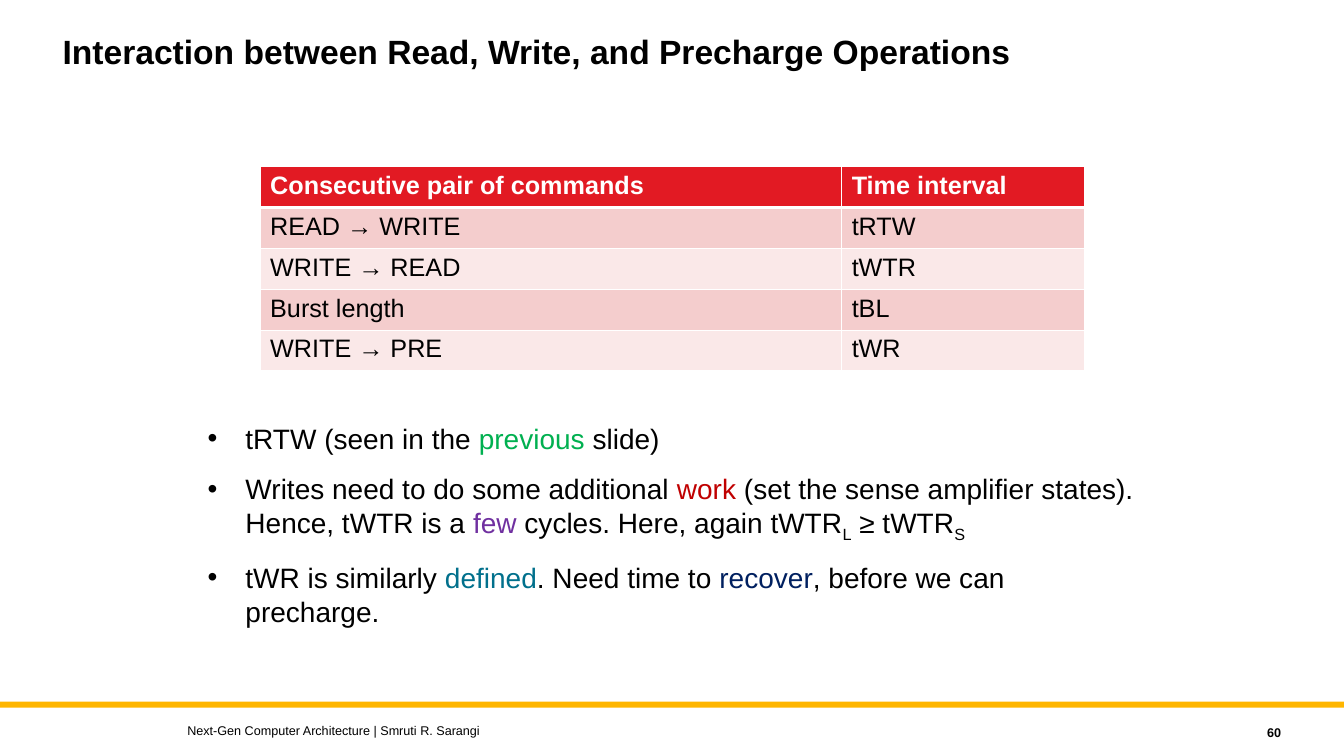
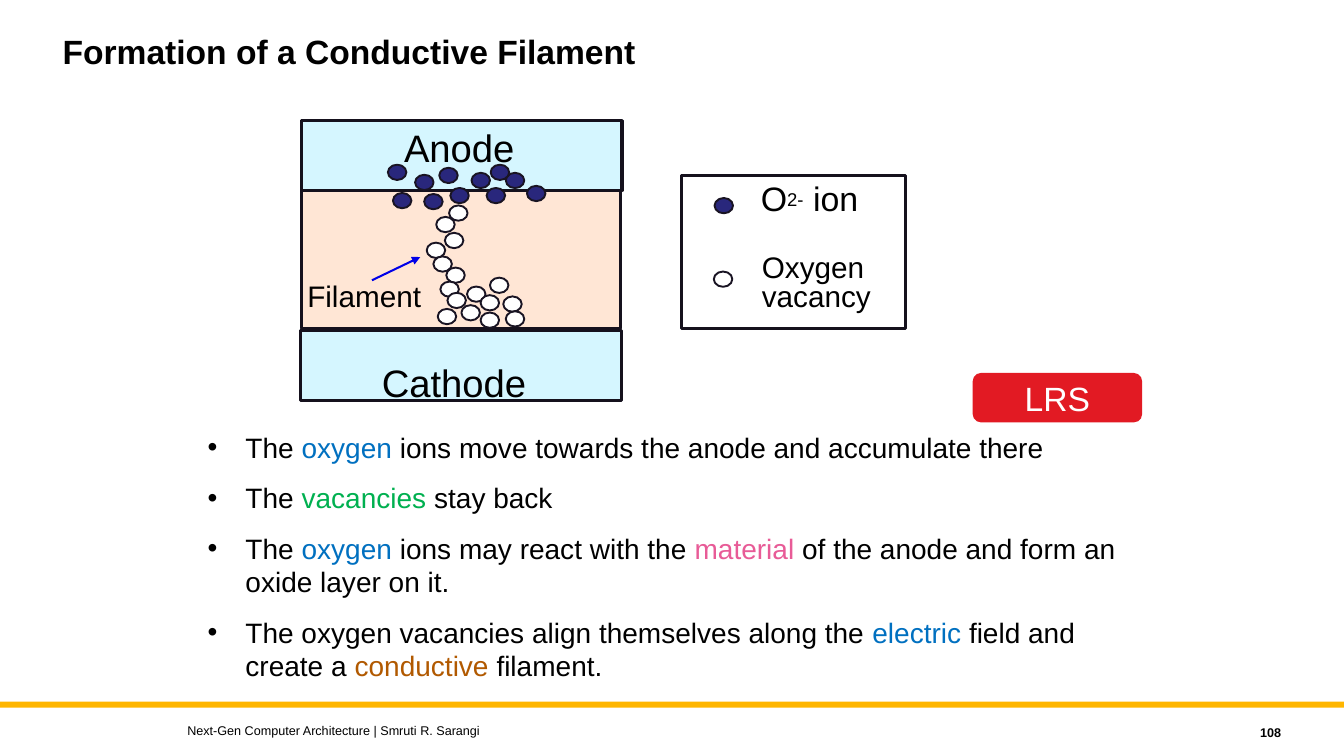
from dataclasses import dataclass

from lxml import etree
from pptx import Presentation
from pptx.dml.color import RGBColor
from pptx.enum.shapes import MSO_CONNECTOR, MSO_SHAPE
from pptx.enum.text import MSO_ANCHOR, MSO_AUTO_SIZE, PP_ALIGN
from pptx.oxml.ns import qn
from pptx.util import Pt

RECT, ROUNDED, OVAL = MSO_SHAPE.RECTANGLE, MSO_SHAPE.ROUNDED_RECTANGLE, MSO_SHAPE.OVAL
LEFT, CENTER, RIGHT = PP_ALIGN.LEFT, PP_ALIGN.CENTER, PP_ALIGN.RIGHT
TOP, MIDDLE, BOTTOM = MSO_ANCHOR.TOP, MSO_ANCHOR.MIDDLE, MSO_ANCHOR.BOTTOM
NO_FIT, GROW = MSO_AUTO_SIZE.NONE, MSO_AUTO_SIZE.SHAPE_TO_FIT_TEXT


@dataclass(frozen=True)
class Theme:
    font: str = "Arial"
    # Type sizes
    title: float = 24
    body: float = 20
    table: float = 18
    footer: float = 9
    electrode: float = 27.3
    label: float = 21.2
    ion_label: float = 24.2
    ion_charge: float = 22.7
    badge: float = 24
    # Colours
    black: str = "000000"
    white: str = "FFFFFF"
    red: str = "E21A23"
    gold: str = "FFB600"
    row_dark: str = "F4CDCD"
    row_light: str = "FAE8E8"
    green: str = "00B050"
    crimson: str = "C00000"
    purple: str = "7030A0"
    teal: str = "01708C"
    navy: str = "002060"
    blue: str = "0070C0"
    pink: str = "E85B97"
    brown: str = "B15900"
    electrode_fill: str = "D5F6FF"
    oxide_fill: str = "FFE6D5"
    ion_fill: str = "29277C"
    outline: str = "15111D"
    dot_outline: str = "191423"
    arrow: str = "0000E8"


T = Theme()

# Shared content and frame: boxes are left, top, width, height in points
FOOTER = "Next-Gen Computer Architecture | Smruti R. Sarangi"
SLIDE_W, SLIDE_H = 960, 540
TITLE_BOX = (37.5, 21.6, 720, 64.8)
BAND_BOX = (0, 501.1, SLIDE_W, 4.3)
FOOTER_BOX = (126.7, 512.6, 576, 18)
NUMBER_BOX = (821.5, 514, 100.8, 18)

# A run is (text, formatting)
SUB = {"baseline": -25}

# Timing slide content
TIMING_TITLE = "Interaction between Read, Write, and Precharge Operations"
TIMING_ROWS = [
    ("Consecutive pair of commands", "Time interval"),
    ("READ → WRITE", "tRTW"),
    ("WRITE → READ", "tWTR"),
    ("Burst length", "tBL"),
    ("WRITE → PRE", "tWR"),
]
TABLE_AT, COLUMN_WIDTHS, ROW_HEIGHT = (185.8, 119), (415.4, 173.5), 29.2
TIMING_BODY_BOX = (141.1, 297.4, 678.2, 169.2)
TIMING_BULLETS = [
    [("tRTW (seen in the ", {}), ("previous", {"color": T.green}), (" slide)", {})],
    [("Writes need to do some additional ", {}), ("work", {"color": T.crimson}),
     (" (set the sense amplifier states). Hence, tWTR is a ", {}),
     ("few", {"color": T.purple}), (" cycles. Here, again tWTR", {}), ("L", SUB),
     (" ≥ tWTR", {}), ("S", SUB)],
    [("tWR is similarly ", {}), ("defined", {"color": T.teal}), (". Need time to ", {}),
     ("recover", {"color": T.navy}), (", before we can precharge.", {})],
]

# Filament slide content
FILAMENT_TITLE = "Formation of a Conductive Filament"
FILAMENT_BODY_BOX = (141.1, 303.8, 677.5, 193.7)
FILAMENT_BULLETS = [
    [("The ", {}), ("oxygen", {"color": T.blue}),
     (" ions move towards the anode and accumulate there", {})],
    [("The ", {}), ("vacancies", {"color": T.green}), (" stay back", {})],
    [("The ", {}), ("oxygen", {"color": T.blue}), (" ions may react with the ", {}),
     ("material", {"color": T.pink}),
     (" of the anode and form an oxide layer on it.", {})],
    [("The oxygen vacancies align themselves along the ", {}),
     ("electric", {"color": T.blue}), (" field and create a ", {}),
     ("conductive", {"color": T.brown}), (" filament.", {})],
]
PANELS = [  # box, fill
    ((215.3, 86.2, 229, 49.9), T.electrode_fill),
    ((214.7, 236.3, 229, 49.6), T.electrode_fill),
    ((215.3, 136.1, 228.2, 98.8), T.oxide_fill),
    ((486.5, 125.5, 160.3, 109.4), None),
]
LABELS = [  # box, size, anchor, runs
    ((281.5, 85, 94.3, 40.3), T.electrode, TOP, [("Anode", {})]),
    ((265.7, 253.4, 118.8, 40.3), T.electrode, TOP, [("Cathode", {})]),
    ((536.4, 123.1, 86.4, 36.7), T.ion_label, BOTTOM,
     [("O", {}), ("2-", {"size": T.ion_charge, "baseline": 18}), (" ion", {})]),
    ((537.1, 174.2, 94.3, 33.1), T.label, TOP, [("Oxygen", {})]),
    ((537.1, 195.1, 92.9, 33.1), T.label, TOP, [("vacancy", {})]),
    ((212.4, 195.1, 97.2, 33.1), T.label, TOP, [("Filament", {})]),
]
DOT_W, DOT_H = 13.2, 10.9
ION_CENTRES = [
    (303.1, 130.3), (320.4, 125.3), (343.4, 128.9), (354.2, 139.7), (328.3, 139.7),
    (367.9, 128.9), (287.3, 143.3), (309.6, 144), (357.1, 123.1), (383, 138.2),
    (283.7, 123.1), (517, 146.9),
]
VACANCY_CENTRES = [
    (318.2, 160.4), (327.4, 152.2), (324.4, 171.8), (311.4, 178.8), (316.2, 188.6),
    (325.4, 196.6), (321.2, 206.6), (326.2, 214.6), (336.2, 223.4), (349.9, 228.7),
    (319.3, 226.1), (340.2, 210.1), (366.1, 217.2), (356.6, 203.8), (349.9, 216.3),
    (367.9, 227.8), (516.5, 199.4),
]
ARROW_ENDS = (265.7, 200.2, 300.2, 183.6)
BADGE_BOX = (694.8, 266.4, 121, 35.3)


def pts(values):
    return [Pt(v) for v in values]


def rgb(value):
    return RGBColor.from_string(value)


def add_runs(p, runs, size, color=T.black, bold=False):
    for text, fmt in runs:
        r = p.add_run()
        r.text = text
        r.font.name = T.font
        r.font.size = Pt(fmt.get("size", size))
        r.font.bold = bold
        r.font.color.rgb = rgb(fmt.get("color", color))
        if "baseline" in fmt:
            r._r.get_or_add_rPr().set("baseline", str(fmt["baseline"] * 1000))


def add_text(s, box, runs, size, anchor=MIDDLE, align=LEFT, bold=False, wrap=True):
    tf = s.shapes.add_textbox(*pts(box)).text_frame
    tf.word_wrap = wrap
    tf.auto_size = NO_FIT if wrap else GROW
    tf.vertical_anchor = anchor
    p = tf.paragraphs[0]
    p.alignment = align
    add_runs(p, runs, size, bold=bold)


def add_shape(s, kind, box, fill=None, line=None, width=0):
    sp = s.shapes.add_shape(kind, *pts(box))
    sp.shadow.inherit = False
    if fill:
        sp.fill.solid()
        sp.fill.fore_color.rgb = rgb(fill)
    else:
        sp.fill.background()
    if line:
        sp.line.color.rgb = rgb(line)
        sp.line.width = Pt(width)
    else:
        sp.line.fill.background()
    return sp


def fit_placeholder(sp, box):
    sp.left, sp.top, sp.width, sp.height = pts(box)
    tf = sp.text_frame
    tf.word_wrap = True
    tf.auto_size = NO_FIT
    tf.vertical_anchor = TOP
    return tf


def add_slide(prs, title, number, body_box, bullets):
    s = prs.slides.add_slide(prs.slide_layouts[1])
    add_shape(s, RECT, BAND_BOX, T.gold)
    p = fit_placeholder(s.shapes.title, TITLE_BOX).paragraphs[0]
    p.alignment = LEFT
    p.line_spacing = 0.9
    add_runs(p, [(title, {})], T.title, bold=True)
    # Bullet and hanging indent come from the body placeholder
    tf = fit_placeholder(s.placeholders[1], body_box)
    for i, runs in enumerate(bullets):
        p = tf.add_paragraph() if i else tf.paragraphs[0]
        p.space_before = Pt(12 if i else 0)
        add_runs(p, runs, T.body)
    add_text(s, FOOTER_BOX, [(FOOTER, {})], T.footer)
    add_text(s, NUMBER_BOX, [(number, {})], T.footer, align=RIGHT, bold=True)
    return s


def set_borders(cell, bottom):
    tc_pr = cell._tc.get_or_add_tcPr()
    for side, width in (("L", 1), ("R", 1), ("T", 1), ("B", bottom)):
        ln = etree.SubElement(tc_pr, qn("a:ln" + side), w=str(Pt(width)))
        fill = etree.SubElement(ln, qn("a:solidFill"))
        etree.SubElement(fill, qn("a:srgbClr"), val=T.white)


def add_timing_table(s):
    size = (sum(COLUMN_WIDTHS), ROW_HEIGHT * len(TIMING_ROWS))
    frame = s.shapes.add_table(len(TIMING_ROWS), len(COLUMN_WIDTHS), *pts(TABLE_AT + size))
    table = frame.table
    for column, width in zip(table.columns, COLUMN_WIDTHS):
        column.width = Pt(width)
    for i, values in enumerate(TIMING_ROWS):
        header = i == 0
        fill = T.red if header else (T.row_light, T.row_dark)[i % 2]
        table.rows[i].height = Pt(ROW_HEIGHT)
        for j, value in enumerate(values):
            cell = table.cell(i, j)
            set_borders(cell, 3 if header else 1)
            cell.fill.solid()
            cell.fill.fore_color.rgb = rgb(fill)
            add_runs(cell.text_frame.paragraphs[0], [(value, {})], T.table,
                     T.white if header else T.black, header)


def add_filament_diagram(s):
    # Electrodes, oxide and legend frame
    for box, fill in PANELS:
        add_shape(s, RECT, box, fill, T.outline, 2.27)
    for box, size, anchor, runs in LABELS:
        add_text(s, box, runs, size, anchor, wrap=False)
    # Ions and vacancies
    for centres, fill in ((ION_CENTRES, T.ion_fill), (VACANCY_CENTRES, T.white)):
        for x, y in centres:
            box = (x - DOT_W / 2, y - DOT_H / 2, DOT_W, DOT_H)
            add_shape(s, OVAL, box, fill, T.dot_outline, 1.37)
    # Pointer to the filament
    arrow = s.shapes.add_connector(MSO_CONNECTOR.STRAIGHT, *pts(ARROW_ENDS))
    arrow.line.color.rgb = rgb(T.arrow)
    arrow.line.width = Pt(1.44)
    etree.SubElement(arrow.line._get_or_add_ln(), qn("a:tailEnd"), type="triangle")
    etree.SubElement(arrow._element.spPr, qn("a:effectLst"))


def add_badge(s, text):
    tf = add_shape(s, ROUNDED, BADGE_BOX, T.red).text_frame
    tf.vertical_anchor = MIDDLE
    p = tf.paragraphs[0]
    p.alignment = CENTER
    add_runs(p, [(text, {})], T.badge, T.white)


def main():
    prs = Presentation()
    prs.slide_width, prs.slide_height = Pt(SLIDE_W), Pt(SLIDE_H)

    s = add_slide(prs, TIMING_TITLE, "60", TIMING_BODY_BOX, TIMING_BULLETS)
    add_timing_table(s)

    s = add_slide(prs, FILAMENT_TITLE, "108", FILAMENT_BODY_BOX, FILAMENT_BULLETS)
    add_filament_diagram(s)
    add_badge(s, "LRS")

    prs.save("out.pptx")


if __name__ == "__main__":
    main()
